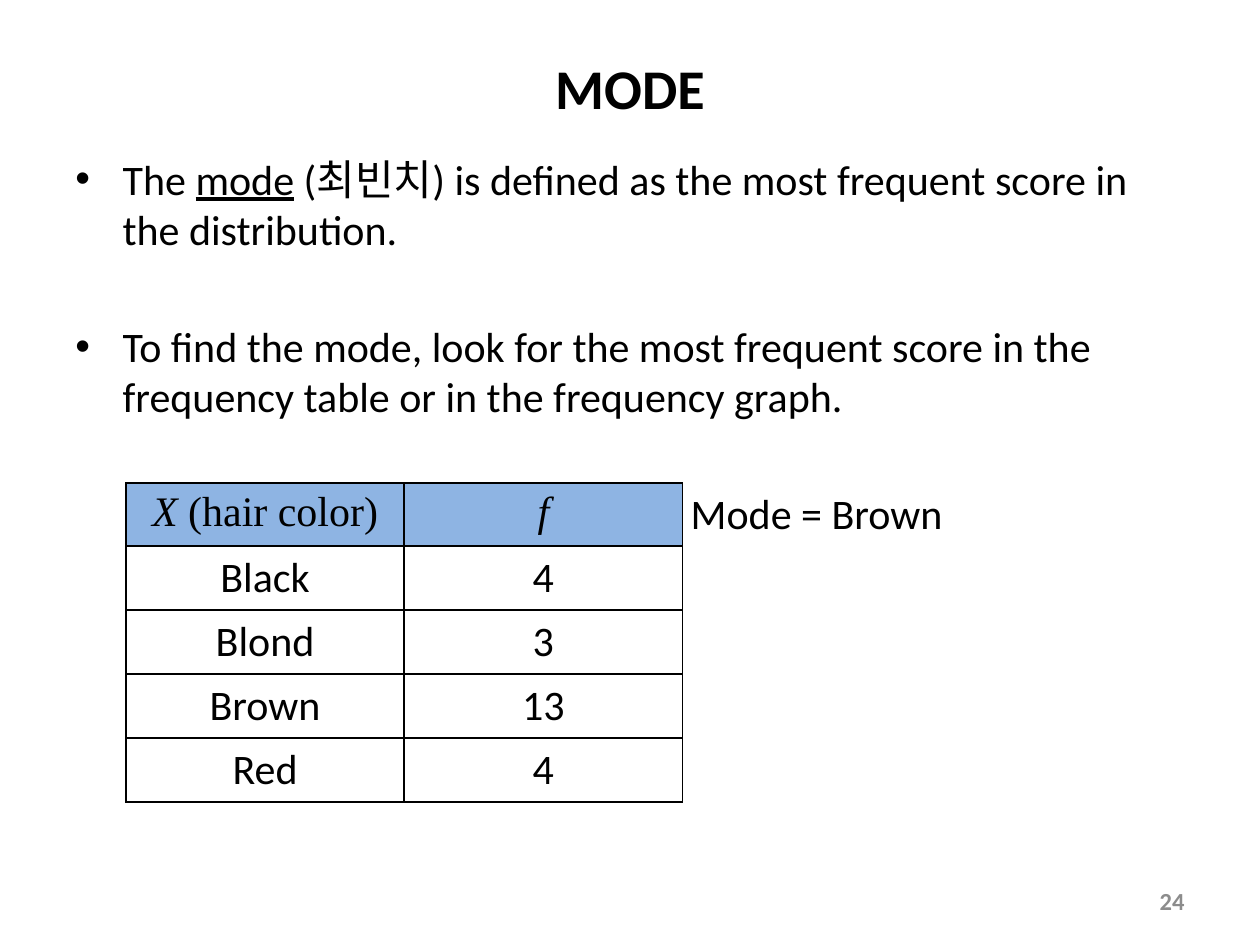
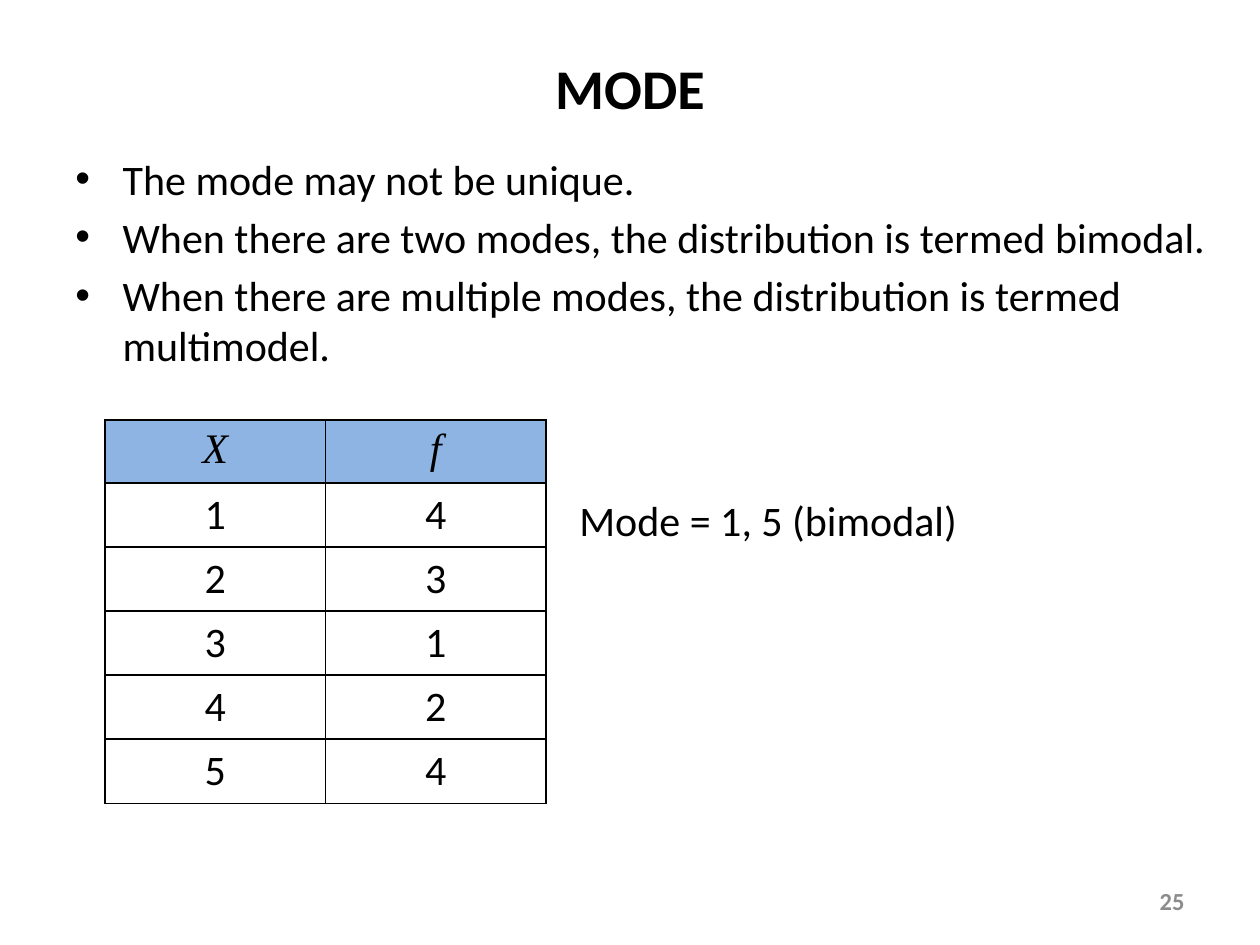
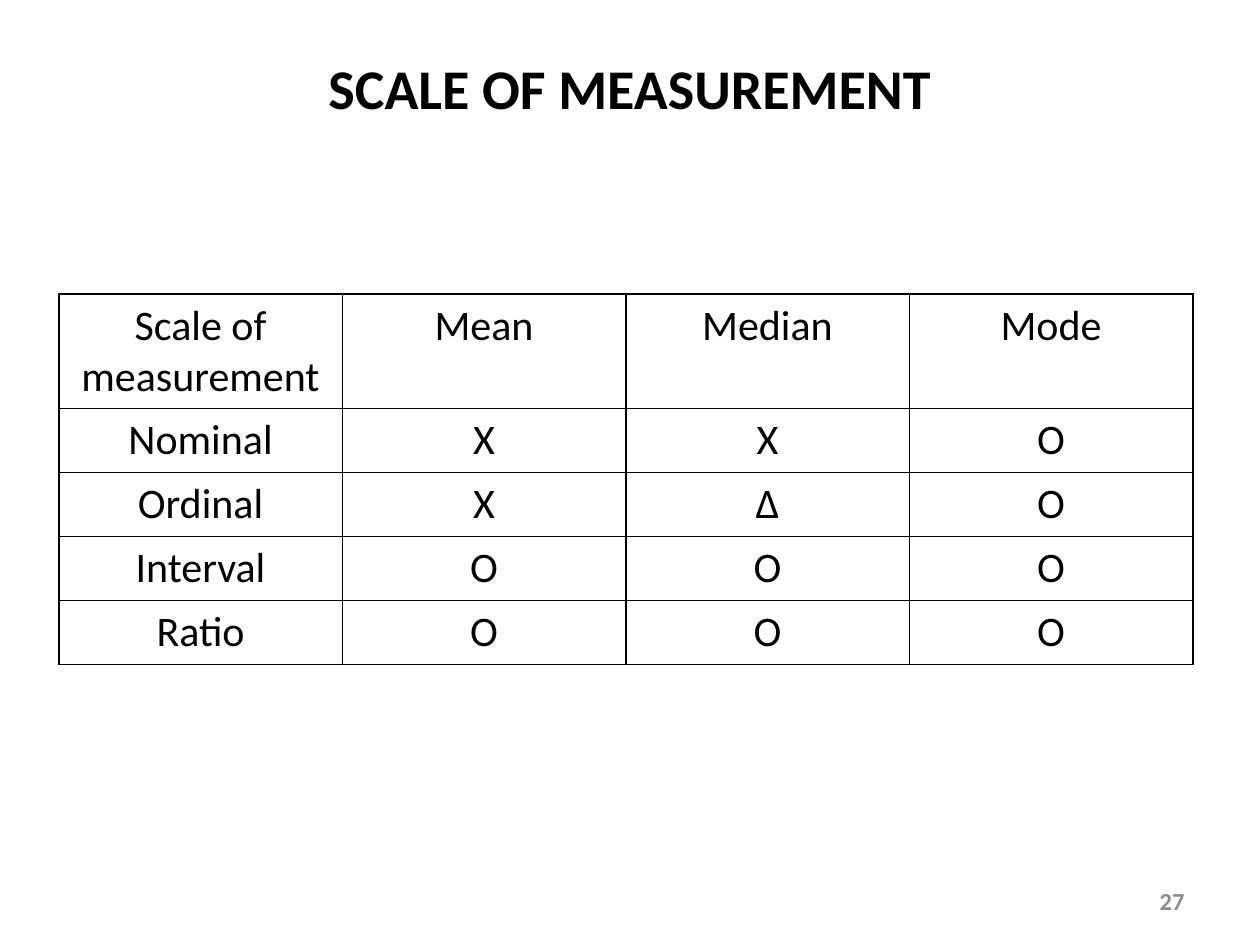
from lxml.etree import SubElement
from pptx import Presentation
from pptx.dml.color import RGBColor
from pptx.enum.text import MSO_ANCHOR as Anchor, PP_ALIGN as Align
from pptx.oxml import parse_xml
from pptx.oxml.ns import nsdecls, qn
from pptx.util import Inches, Pt

BLACK = RGBColor(0x00, 0x00, 0x00)
GRAY = RGBColor(0x8C, 0x8C, 0x8C)
HEADER_BLUE = RGBColor(0x8E, 0xB4, 0xE3)
COLUMNS, ROWS = 120, 90
SANS, SERIF = "Calibri", "Times New Roman"
TIGHT, ONE_LINE, TWO_LINES = 4.4, 38, 71
HEADER_ROW, TALL_HEADER_ROW, BODY_ROW = 5.5, 10.9, 6.1
SYMBOL = {"font": SERIF, "italic": True}


class Deck:
    """Builds slides on a grid of 120 columns by 90 rows in one shared style."""

    def __init__(self):
        self.presentation = Presentation()
        self.presentation.slide_width = Inches(10)
        self.presentation.slide_height = Inches(7.5)
        self.slide = None

    def across(self, columns):
        return round(self.presentation.slide_width * columns / COLUMNS)

    def down(self, rows):
        return round(self.presentation.slide_height * rows / ROWS)

    def frame(self, left, top, width, height):
        return self.across(left), self.down(top), self.across(width), self.down(height)

    def add_run(self, paragraph, text, size=24, font=SANS, color=BLACK,
                bold=False, italic=False, underline=False):
        run = paragraph.add_run()
        run.text = text
        run.font.size = Pt(size)
        run.font.name = font
        run.font.color.rgb = color
        run.font.bold = bold
        run.font.italic = italic
        run.font.underline = underline

    def add_runs(self, paragraph, content):
        runs = [(content, {})] if isinstance(content, str) else content
        for text, style in runs:
            self.add_run(paragraph, text, **style)

    def add_slide(self, title, number):
        self.slide = self.presentation.slides.add_slide(self.presentation.slide_layouts[5])
        shape = self.slide.shapes.title
        shape.left, shape.top, shape.width, shape.height = self.frame(6, 3.6, 108, 9.4)
        shape.text_frame.vertical_anchor = Anchor.MIDDLE
        paragraph = shape.text_frame.paragraphs[0]
        paragraph.alignment = Align.CENTER
        self.add_run(paragraph, title, size=32, bold=True)
        self.add_number(number)

    def add_text_frame(self, *position):
        text_frame = self.slide.shapes.add_textbox(*self.frame(*position)).text_frame
        text_frame.word_wrap = True
        return text_frame

    def add_number(self, number):
        text_frame = self.add_text_frame(86, 83.4, 28, 4.8)
        text_frame.vertical_anchor = Anchor.MIDDLE
        paragraph = text_frame.paragraphs[0]
        paragraph.alignment = Align.RIGHT
        self.add_run(paragraph, str(number), size=14, color=GRAY, bold=True)

    def add_body(self, width, bullets, spacing, answer, answer_indent, answer_spacing):
        text_frame = self.add_text_frame(6, 14, width, 66.4)
        for index, content in enumerate(bullets):
            paragraph = text_frame.add_paragraph() if index else text_frame.paragraphs[0]
            paragraph.space_before = Pt(spacing if index else 0)
            self.indent(paragraph, 4.5, -4.5)
            properties = paragraph._p.get_or_add_pPr()
            SubElement(properties, qn("a:buFont"), typeface="Arial")
            SubElement(properties, qn("a:buChar"), char="•")
            self.add_runs(paragraph, content)
        paragraph = text_frame.add_paragraph()
        paragraph.space_before = Pt(answer_spacing)
        self.indent(paragraph, answer_indent, 0)
        self.add_runs(paragraph, answer)

    def indent(self, paragraph, left, first_line):
        properties = paragraph._p.get_or_add_pPr()
        properties.set("marL", str(self.across(left)))
        properties.set("indent", str(self.across(first_line)))

    def add_table(self, left, top, column_width, cells, header_row, header_fill=None):
        heights = [header_row] + [BODY_ROW] * (len(cells) - 1)
        count = len(cells[0])
        position = self.frame(left, top, column_width * count, sum(heights))
        table = self.slide.shapes.add_table(len(cells), count, *position).table
        table.first_row = table.horz_banding = False
        for column in table.columns:
            column.width = self.across(column_width)
        for row_index, (height, contents) in enumerate(zip(heights, cells)):
            table.rows[row_index].height = self.down(height)
            for column_index, content in enumerate(contents):
                fill = None if row_index else header_fill
                self.fill_cell(table.cell(row_index, column_index), content, fill)

    def fill_cell(self, cell, content, color):
        paragraph = cell.text_frame.paragraphs[0]
        paragraph.alignment = Align.CENTER
        self.add_runs(paragraph, content)
        if color is None:
            cell.fill.background()
        else:
            cell.fill.solid()
            cell.fill.fore_color.rgb = color
        properties = cell._tc.get_or_add_tcPr()
        for index, side in enumerate(("lnL", "lnR", "lnT", "lnB")):
            properties.insert(index, parse_xml(
                f'<a:{side} {nsdecls("a")} w="{Pt(1)}"><a:solidFill>'
                f'<a:srgbClr val="{BLACK}"/></a:solidFill></a:{side}>'))


def main():
    deck = Deck()

    deck.add_slide("MODE", 24)
    definition = [
        ("The ", {}),
        ("mode", {"underline": True}),
        (" (최빈치) is defined as the most frequent score in the distribution.", {}),
    ]
    search = ("To find the mode, look for the most frequent score in the "
              "frequency table or in the frequency graph.")
    deck.add_body(108, [definition, search], ONE_LINE, "Mode = Brown", 58.6, ONE_LINE)
    hair_colors = [
        ([("X ", SYMBOL), ("(hair color)", {"font": SERIF})], [("f", SYMBOL)]),
        ("Black", "4"),
        ("Blond", "3"),
        ("Brown", "13"),
        ("Red", "4"),
    ]
    deck.add_table(12, 46, 26.5, hair_colors, HEADER_ROW, HEADER_BLUE)

    deck.add_slide("MODE", 25)
    kinds = [
        "The mode may not be unique.",
        "When there are two modes, the distribution is termed bimodal.",
        "When there are multiple modes, the distribution is termed multimodel.",
    ]
    deck.add_body(113, kinds, TIGHT, "Mode = 1, 5 (bimodal)", 48, TWO_LINES)
    scores = [
        ([("X", SYMBOL)], [("f", SYMBOL)]),
        ("1", "4"),
        ("2", "3"),
        ("3", "1"),
        ("4", "2"),
        ("5", "4"),
    ]
    deck.add_table(10, 40, 21, scores, HEADER_ROW, HEADER_BLUE)

    deck.add_slide("SCALE OF MEASUREMENT", 27)
    scales = [
        ("Scale of measurement", "Mean", "Median", "Mode"),
        ("Nominal", "X", "X", "O"),
        ("Ordinal", "X", "∆", "O"),
        ("Interval", "O", "O", "O"),
        ("Ratio", "O", "O", "O"),
    ]
    deck.add_table(5.6, 28, 27, scales, TALL_HEADER_ROW)

    deck.presentation.save("out.pptx")


if __name__ == "__main__":
    main()
